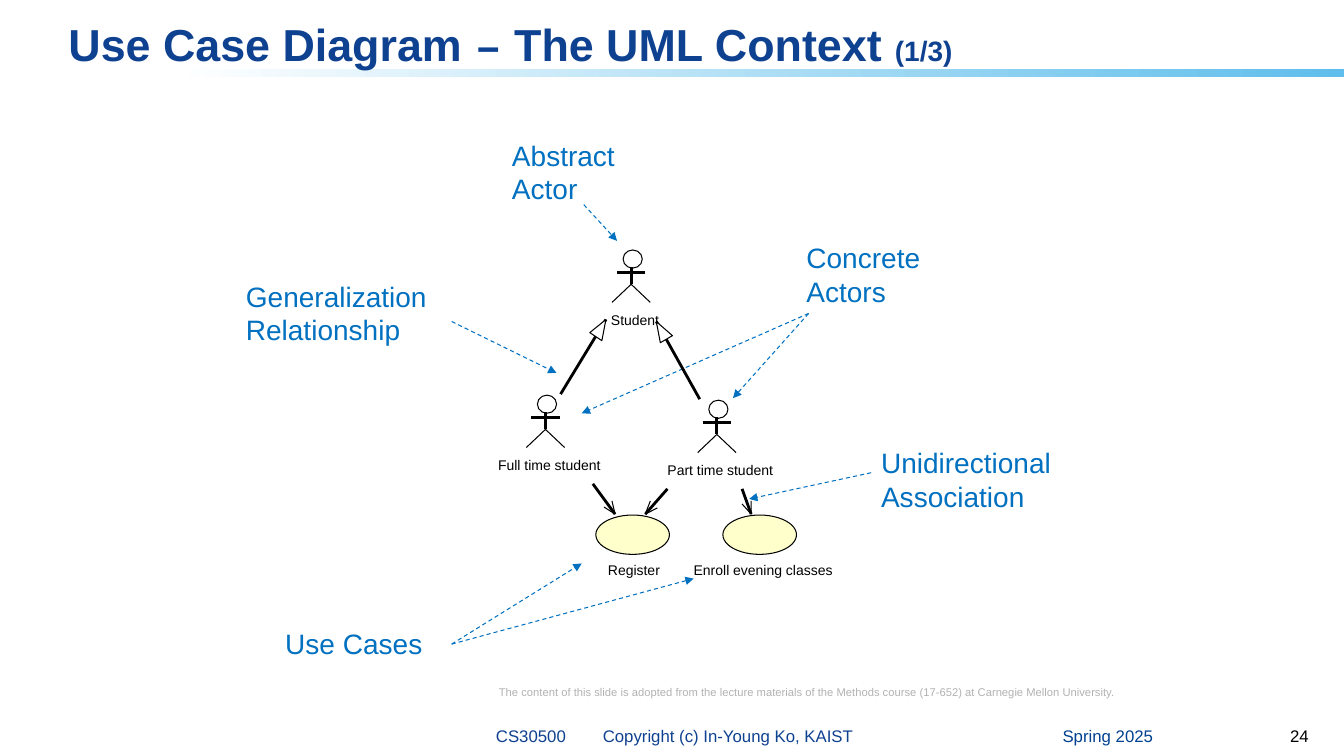
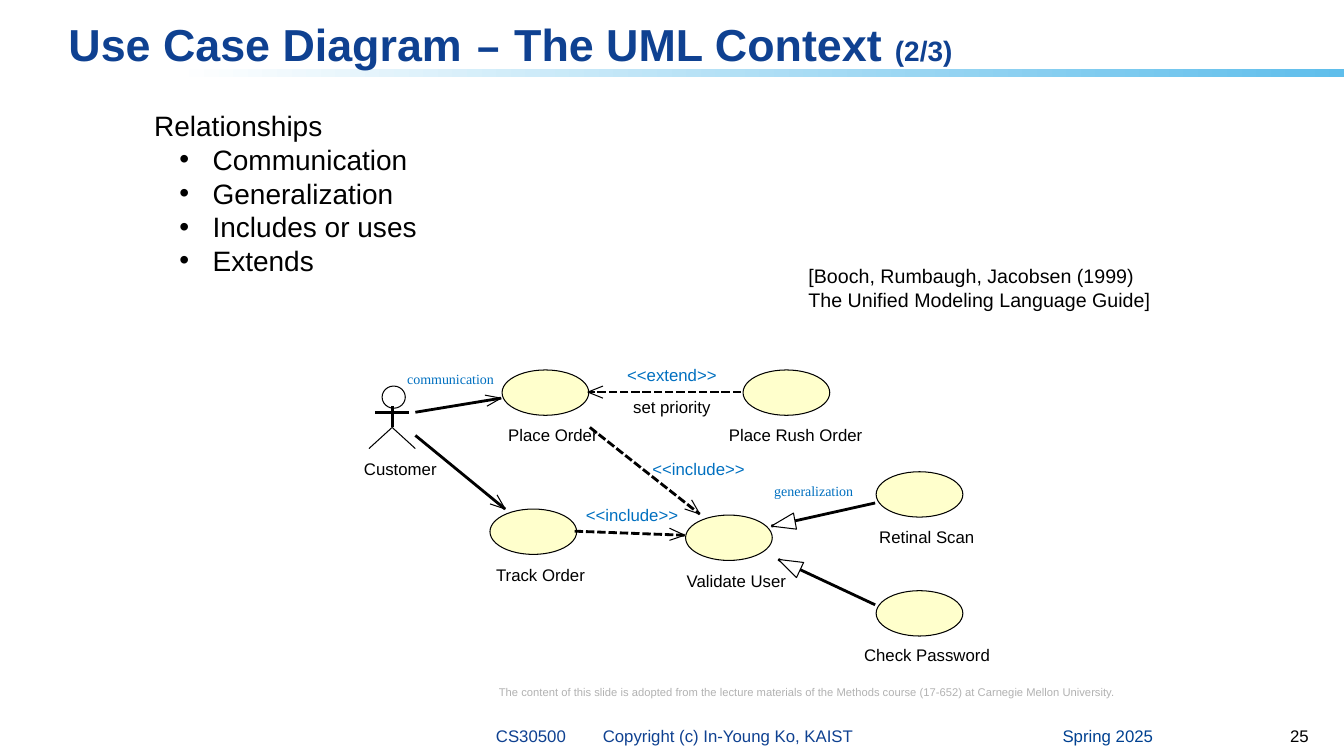
from math import hypot

from pptx import Presentation
from pptx import util as u
from pptx.dml.color import RGBColor
from pptx.enum import dml, shapes, text
from pptx.oxml.ns import qn
from pptx.oxml.xmlchemy import OxmlElement

SCALE = 9144
COLORS = {
    "title": "0F4191",
    "term": "004191",
    "band": "5FBEEB",
    "callout": "0070C0",
    "black": "000000",
    "white": "FFFFFF",
    "use case": "FFFFCC",
    "credit": "B2B2B2",
}
CREDIT = (
    "The content of this slide is adopted from the lecture materials of "
    "the Methods course (17-652) at Carnegie Mellon University."
)


def px(*lengths):
    """Turn px lengths into EMU."""
    return [u.Emu(round(length) * SCALE) for length in lengths]


def rgb(name):
    """Look up a named colour."""
    return RGBColor.from_string(COLORS[name])


def add_child(parent, tag, **attributes):
    """Append an XML element with attributes."""
    child = OxmlElement(tag)
    for key, value in attributes.items():
        child.set(key, str(value))
    parent.append(child)
    return child


class Lecture:
    """Holds the deck style and draws on the current slide."""

    def __init__(self):
        """Start an empty wide deck."""
        self.deck = Presentation()
        self.deck.slide_width, self.deck.slide_height = px(1333, 750)

    def start_page(self, number, part, unit, label_size):
        """Add a page with its title, band and footers."""
        self.page = self.deck.slides.add_slide(self.deck.slide_layouts[6])
        self.unit = unit
        self.label_size = label_size
        self.band()
        para = self.box((58, 13, 1218, 61), middle=True)
        self.span(para, "Use Case Diagram ", 32, "title", bold=True)
        self.span(para, "–", 32, "title", "Courier New", True)
        self.span(para, " The UML Context ", 32, "title", bold=True)
        self.span(para, part, 20, "title", bold=True)
        self.span(self.box((1044, 710, 155, 40), middle=True), "Spring 2025", 12, "term")
        para = self.box((482, 710, 529, 40), middle=True)
        tabs = add_child(para._p.get_or_add_pPr(), "a:tabLst")
        add_child(tabs, "a:tab", pos=px(106)[0], algn="l")
        self.span(para, "CS30500\tCopyright (c) In-Young Ko, KAIST", 12, "title")
        para = self.box((1222, 710, 86, 40), middle=True)
        para.alignment = text.PP_ALIGN.RIGHT
        self.span(para, str(number), 12)
        self.span(self.box((485, 675, 664, 23)), CREDIT, 8, "credit")

    def band(self):
        """Draw the fading band under the title."""
        band = self.page.shapes.add_shape(shapes.MSO_SHAPE.RECTANGLE, *px(0, 68, 1333, 8))
        band.shadow.inherit = False
        band.line.fill.background()
        band.fill.gradient()
        band.fill.gradient_angle = 180
        stops = zip(band.fill.gradient_stops, ((0, "band"), (0.87, "white")))
        for stop, (position, color) in stops:
            stop.position = position
            stop.color.rgb = rgb(color)

    def box(self, area, middle=False, wrap=True, inset=True):
        """Add a text box and return its first paragraph."""
        frame = self.page.shapes.add_textbox(*px(*area)).text_frame
        frame.word_wrap = wrap
        if middle:
            frame.vertical_anchor = text.MSO_ANCHOR.MIDDLE
        else:
            frame.auto_size = text.MSO_AUTO_SIZE.SHAPE_TO_FIT_TEXT
        if not inset:
            frame.margin_left = frame.margin_right = 0
            frame.margin_top = frame.margin_bottom = 0
        return frame.paragraphs[0]

    def span(self, para, words, size, color="black", font="Arial", bold=False):
        """Add styled text, breaking at line ends."""
        for index, line in enumerate(words.split("\n")):
            if index:
                para.add_line_break()
            span = para.add_run()
            span.text = line
            span.font.size = u.Pt(size)
            span.font.name = font
            span.font.bold = bold
            span.font.color.rgb = rgb(color)

    def bullets(self, area, heading, items):
        """Add a heading with a bulleted list."""
        para = self.box(area)
        frame = para._parent
        self.span(para, heading, 20)
        for item in items:
            para = frame.add_paragraph()
            para.level = 1
            margin, indent = px(58, -33)
            properties = para._p.get_or_add_pPr()
            properties.set("marL", str(margin))
            properties.set("indent", str(indent))
            add_child(properties, "a:buFont", typeface="Arial")
            add_child(properties, "a:buChar", char="•")
            self.span(para, item, 20)

    def label(self, words, left, top, width, color="black"):
        """Add a tight diagram label."""
        height = 16 * self.label_size / 10
        para = self.box((left, top, width, height), wrap=False, inset=False)
        para.line_spacing = 0.9
        self.span(para, words, self.label_size, color)

    def callout(self, words, area):
        """Add a large blue callout."""
        self.span(self.box(area), words, 20, "callout")

    def line(self, start, end, color="black", width=0, dash=None, head=False):
        """Draw a straight connector."""
        line = self.page.shapes.add_connector(
            shapes.MSO_CONNECTOR.STRAIGHT, *px(*start, *end))
        line.line.color.rgb = rgb(color)
        line.line.width = u.Pt(width)
        if dash:
            line.line.dash_style = dash
        properties = line._element.spPr
        if head:
            add_child(properties.find(qn("a:ln")), "a:tailEnd", type="triangle")
        add_child(properties, "a:effectLst")

    def leader(self, start, end):
        """Draw a dashed arrow from a callout."""
        self.line(start, end, "callout", 0.75, dml.MSO_LINE.DASH, head=True)

    def finish(self, shape, fill=None):
        """Give a shape its hairline and fill."""
        shape.shadow.inherit = False
        shape.line.color.rgb = rgb("black")
        shape.line.width = u.Pt(0)
        if fill:
            shape.fill.solid()
            shape.fill.fore_color.rgb = rgb(fill)
        else:
            shape.fill.background()

    def ellipse(self, area, fill=None):
        """Draw an outlined ellipse."""
        self.finish(self.page.shapes.add_shape(shapes.MSO_SHAPE.OVAL, *px(*area)), fill)

    def outline(self, points, fill=None):
        """Draw a path, closed when filled."""
        points = [(round(x), round(y)) for x, y in points]
        path = self.page.shapes.build_freeform(*points[0], scale=SCALE)
        path.add_line_segments(points[1:], close=bool(fill))
        self.finish(path.convert_to_shape(), fill)

    def actor(self, left, top):
        """Draw a stick figure."""
        def spot(x, y):
            return left + x * self.unit, top + y * self.unit

        self.ellipse((*spot(11, 0), 19 * self.unit, 18 * self.unit))
        self.line(spot(19, 17), spot(19, 34))
        self.line(spot(5, 22), spot(33, 22))
        self.outline([spot(0, 52), spot(19, 34), spot(38, 52)])

    def use_case(self, left, top):
        """Draw a use case ellipse."""
        width, height = (73, 39) if self.unit == 1 else (86, 45)
        self.ellipse((left, top, width, height), "use case")

    def relation(self, start, tip, hollow=False, dash=None):
        """Draw a line with an open or hollow arrowhead."""
        self.line(start, tip, dash=dash)
        run, rise = start[0] - tip[0], start[1] - tip[1]
        length = hypot(run, rise)
        run, rise = run / length, rise / length
        depth, half = [size * self.unit for size in ((20, 7) if hollow else (12.5, 5))]
        barbs = [
            (tip[0] + depth * run - side * rise, tip[1] + depth * rise + side * run)
            for side in (half, -half)
        ]
        if hollow:
            self.outline([tip, *barbs], "white")
        else:
            self.outline([barbs[0], tip, barbs[1]])


def student_page(lecture):
    """Build the annotated student diagram."""
    lecture.start_page(24, "(1/3)", 1, 10)
    for words, area in (
        ("Concrete Actors", (790, 234, 147, 77)),
        ("Generalization Relationship", (234, 272, 215, 77)),
        ("Use Cases", (273, 617, 175, 43)),
        ("Unidirectional Association", (864, 437, 200, 77)),
        ("Abstract Actor", (498, 132, 124, 77)),
    ):
        lecture.callout(words, area)
    for start, end in (
        ((802, 311), (727, 395)),
        ((802, 311), (577, 410)),
        ((448, 319), (552, 370)),
        ((448, 639), (577, 559)),
        ((448, 639), (688, 574)),
        ((864, 469), (743, 495)),
        ((579, 203), (612, 239)),
    ):
        lecture.leader(start, end)
    for left, top in ((607, 248), (522, 392), (692, 397)):
        lecture.actor(left, top)
    for left in (591, 717):
        lecture.use_case(left, 511)
    for label in (
        ("Student", 606, 311, 48),
        ("Full time student", 494, 455, 102),
        ("Part time student", 662, 460, 105),
        ("Register", 603, 559, 52),
        ("Enroll evening classes", 688, 559, 139),
    ):
        lecture.label(*label)
    lecture.relation((556, 391), (601, 317), hollow=True)
    lecture.relation((694, 396), (651, 319), hollow=True)
    lecture.relation((588, 480), (610, 510))
    lecture.relation((662, 485), (640, 510))
    lecture.relation((736, 485), (745, 510))


def order_page(lecture):
    """Build the order diagram with its relationships."""
    lecture.start_page(25, "(2/3)", 1.2, 12)
    lecture.bullets(
        (143, 103, 725, 178), "Relationships",
        ("Communication", "Generalization", "Includes or uses", "Extends"))
    source = lecture.box((792, 257, 361, 57), wrap=False)
    lecture.span(
        source,
        "[Booch, Rumbaugh, Jacobsen (1999)\nThe Unified Modeling Language Guide]", 14)
    for words, area in (
        ("communication", (394, 363, 107, 27)),
        ("generalization", (758, 474, 99, 27)),
    ):
        para = lecture.box(area, wrap=False)
        lecture.span(para, words, 10, "callout", "Times New Roman")
    lecture.actor(366, 383)
    for left, top in ((680, 511), (869, 586), (869, 468), (737, 367), (498, 367), (486, 505)):
        lecture.use_case(left, top)
    lecture.relation((868, 499), (765, 522), hollow=True)
    lecture.relation((868, 600), (772, 555), hollow=True)
    lecture.relation((412, 409), (497, 395))
    lecture.relation((412, 432), (501, 505))
    for start, tip in (
        ((735, 389), (583, 389)),
        ((585, 424), (694, 510)),
        ((570, 527), (679, 531)),
    ):
        lecture.relation(start, tip, dash=dml.MSO_LINE.SQUARE_DOT)
    for label in (
        ("Customer", 361, 457, 73),
        ("Place Order", 504, 424, 90),
        ("Place Rush Order", 723, 424, 133),
        ("Track Order", 492, 562, 89),
        ("Validate User", 681, 568, 99),
        ("Retinal Scan", 872, 525, 95),
        ("Check Password", 857, 642, 126),
        ("set priority", 628, 396, 77),
        ("<<extend>>", 622, 364, 90, "callout"),
        ("<<include>>", 647, 457, 92, "callout"),
        ("<<include>>", 581, 503, 92, "callout"),
    ):
        lecture.label(*label)


def main():
    """Build and save the deck."""
    lecture = Lecture()
    student_page(lecture)
    order_page(lecture)
    lecture.deck.save("out.pptx")


if __name__ == "__main__":
    main()
